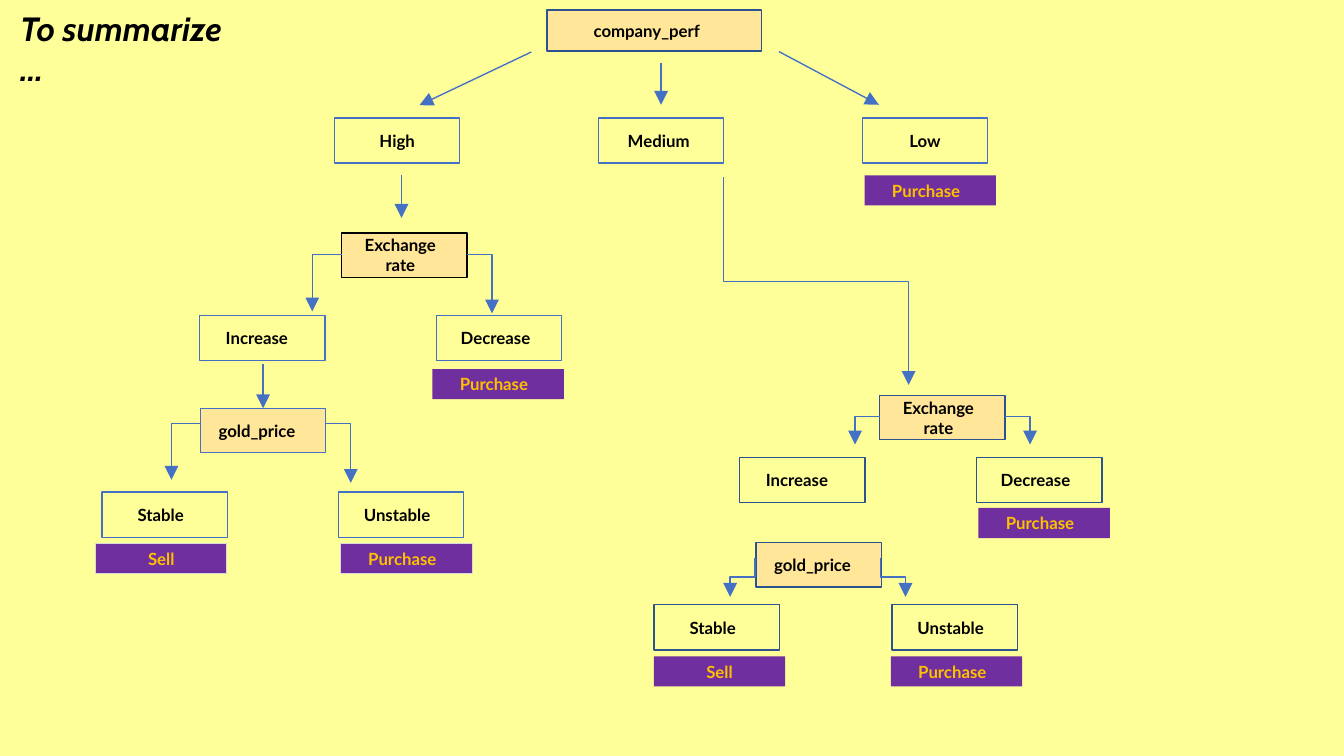
from lxml import etree
from pptx import Presentation
from pptx.dml.color import RGBColor
from pptx.enum.shapes import MSO_CONNECTOR, MSO_SHAPE
from pptx.enum.text import MSO_ANCHOR, PP_ALIGN
from pptx.oxml.ns import qn
from pptx.util import Cm, Pt

RECTANGLE = MSO_SHAPE.RECTANGLE
STRAIGHT = MSO_CONNECTOR.STRAIGHT
MIDDLE, TOP = MSO_ANCHOR.MIDDLE, MSO_ANCHOR.TOP
CENTER, LEFT = PP_ALIGN.CENTER, PP_ALIGN.LEFT
TOP_SIDE = 0

THEME = {
    "background": "FFFF99", "arrow": "4471C4", "arrow_width": 0.96,
    "blue": "4471C4", "navy": "2E528F", "black": "000000", "grey": "D9D9D9",
    "question": {"fill": "FFE699", "text": "000000", "size": (3.16, 1.12)},
    "option": {"fill": None, "text": "000000", "size": (3.16, 1.14)},
    "decision": {"fill": "6F2F9F", "text": "FFC000", "size": (3.31, 0.76)},
    "label_font": {"name": "Lato", "size": Pt(12), "bold": True},
    "title_font": {"name": "Cabin", "size": Pt(24), "bold": True, "italic": True},
}

TITLE = "To summarize …"
ROOT = ("company_perf", 13.79, 0.25, "navy", (5.41, 1.04))
PERFORMANCE_LEVELS = ["High", "Medium", "Low"]
LEVELS_LEFT, LEVELS_TOP, LEVELS_PITCH = 8.43, 2.97, 6.65

QUESTIONS = [
    ("Exchange rate", 8.61, 5.87, "black"),
    ("gold_price", 5.05, 10.29, "blue"),
    ("Exchange rate", 22.17, 9.96, "navy"),
    ("gold_price", 19.05, 13.67, "navy"),
]
OPTIONS = [
    ("Increase", 5.03, 7.95, "blue"), ("Decrease", 11.0, 7.95, "blue"),
    ("Stable", 2.57, 12.4, "blue"), ("Unstable", 8.53, 12.4, "blue"),
    ("Increase", 18.64, 11.53, "navy"), ("Decrease", 24.61, 11.53, "navy"),
    ("Stable", 16.48, 15.24, "navy"), ("Unstable", 22.48, 15.24, "navy"),
]
DECISIONS = [
    ("Purchase", 21.79, 4.42, None), ("Purchase", 10.9, 9.3, None),
    ("Sell", 2.41, 13.69, "grey"), ("Purchase", 8.59, 13.69, "grey"),
    ("Sell", 16.48, 16.54, None), ("Purchase", 22.45, 16.54, None),
    ("Purchase", 24.66, 12.8, None),
]
LABEL_INDENTS = {
    "company_perf": 1.17, "Medium": 0.74, "Increase": 0.66, "Decrease": 0.61,
    "gold_price": 0.46, "Stable": 0.9, "Unstable": 0.64, "Purchase": 0.69,
}
WRAPPED_LABEL_MARGINS = {"Exchange rate": (0.3, 0.5)}

STRAIGHT_ARROWS = [
    ((13.39, 1.31), (10.57, 2.65)),
    ((16.66, 1.59), (16.66, 2.64)),
    ((19.63, 1.3), (22.15, 2.64)),
    ((10.12, 4.42), (10.12, 5.49)),
]
INCREASE_TO_GOLD = ((6.63, 9.17), (6.63, 10.29))
BENT_ARROWS = [
    [(8.61, 6.41), (7.87, 6.41), (7.87, 7.85)],
    [(11.76, 6.41), (12.4, 6.41), (12.4, 7.9)],
    [(5.05, 10.67), (4.32, 10.67), (4.32, 12.09)],
    [(8.2, 10.67), (8.84, 10.67), (8.84, 12.17)],
    [(18.23, 4.47), (18.23, 7.09), (22.9, 7.09), (22.9, 9.7)],
    [(22.17, 10.5), (21.55, 10.5), (21.55, 11.2)],
    [(25.32, 10.5), (25.96, 10.5), (25.96, 11.2)],
    [(19.03, 14.07), (19.03, 14.54), (18.4, 14.54), (18.4, 15.04)],
    [(22.19, 14.07), (22.19, 14.54), (22.82, 14.54), (22.82, 15.04)],
]


def set_attributes(target, values):
    for name, value in values.items():
        setattr(target, name, value)


def write(holder, text, font, color, anchor, align, left=0, right=0):
    frame = holder.text_frame
    set_attributes(frame, {
        "word_wrap": True, "vertical_anchor": anchor,
        "margin_left": Cm(left), "margin_right": Cm(right),
        "margin_top": 0, "margin_bottom": 0,
    })
    paragraph = frame.paragraphs[0]
    paragraph.alignment = align
    run = paragraph.add_run()
    run.text = text
    set_attributes(run.font, font)
    run.font.color.rgb = RGBColor.from_string(color)


def add_node(slide, role, label, left, top, outline, size=None):
    style = THEME[role]
    width, height = size or style["size"]
    node = slide.shapes.add_shape(RECTANGLE, Cm(left), Cm(top), Cm(width), Cm(height))
    node.shadow.inherit = False
    if style["fill"]:
        node.fill.solid()
        node.fill.fore_color.rgb = RGBColor.from_string(style["fill"])
    else:
        node.fill.background()
    if outline:
        node.line.color.rgb = RGBColor.from_string(THEME[outline])
        node.line.width = Pt(0.72 if outline == "grey" else 0.96)
    else:
        node.line.fill.background()
    indent = LABEL_INDENTS.get(label, 0)
    margins = WRAPPED_LABEL_MARGINS.get(label, (indent, 0))
    write(node, label, THEME["label_font"], style["text"], MIDDLE,
          LEFT if indent else CENTER, *margins)
    return node


def style_arrow(arrow):
    arrow.line.color.rgb = RGBColor.from_string(THEME["arrow"])
    arrow.line.width = Pt(THEME["arrow_width"])
    etree.SubElement(arrow.line._get_or_add_ln(), qn("a:tailEnd"),
                     type="triangle", w="lg", len="lg")


def add_straight_arrow(slide, start, end):
    arrow = slide.shapes.add_connector(STRAIGHT, *map(Cm, start + end))
    style_arrow(arrow)
    etree.SubElement(arrow._element.spPr, qn("a:effectLst"))
    return arrow


def add_bent_arrow(slide, points):
    start, *corners = [(Cm(x), Cm(y)) for x, y in points]
    builder = slide.shapes.build_freeform(*start)
    builder.add_line_segments(corners, close=False)
    arrow = builder.convert_to_shape()
    arrow.fill.background()
    style_arrow(arrow)
    arrow.shadow.inherit = False


def main():
    deck = Presentation()
    deck.slide_width, deck.slide_height = Cm(33.87), Cm(19.05)
    slide = deck.slides.add_slide(deck.slide_layouts[6])
    slide.background.fill.solid()
    slide.background.fill.fore_color.rgb = RGBColor.from_string(THEME["background"])

    title = slide.shapes.add_textbox(Cm(0.51), Cm(0.2), Cm(5.2), Cm(2.1))
    write(title, TITLE, THEME["title_font"], THEME["black"], TOP, LEFT)

    add_node(slide, "question", *ROOT)
    for column, level in enumerate(PERFORMANCE_LEVELS):
        add_node(slide, "option", level, LEVELS_LEFT + column * LEVELS_PITCH,
                 LEVELS_TOP, "blue")
    questions = [add_node(slide, "question", *question) for question in QUESTIONS]
    for option in OPTIONS:
        add_node(slide, "option", *option)
    for decision in DECISIONS:
        add_node(slide, "decision", *decision)

    for start, end in STRAIGHT_ARROWS:
        add_straight_arrow(slide, start, end)
    add_straight_arrow(slide, *INCREASE_TO_GOLD).end_connect(questions[1], TOP_SIDE)
    for points in BENT_ARROWS:
        add_bent_arrow(slide, points)

    deck.save("out.pptx")


if __name__ == "__main__":
    main()
